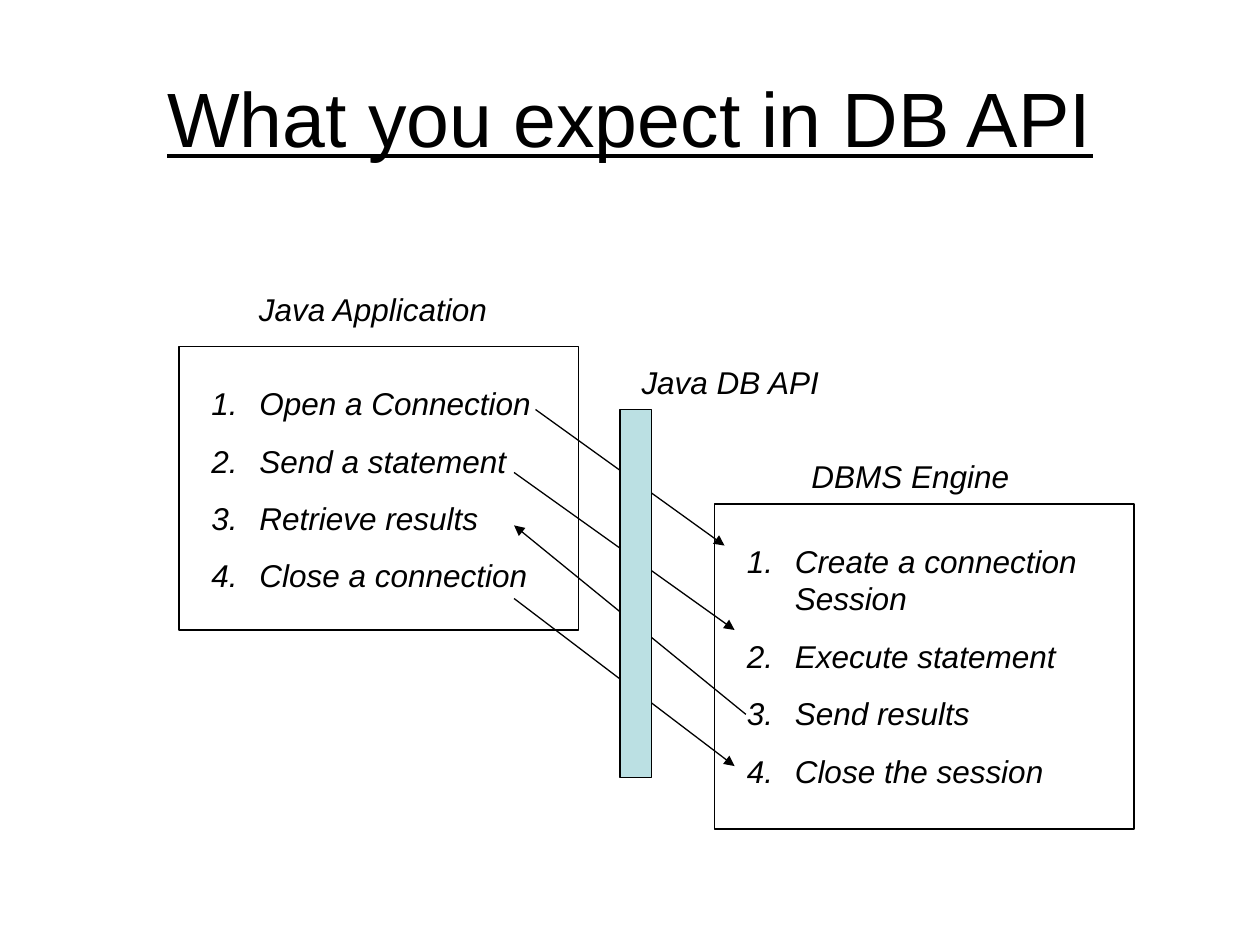
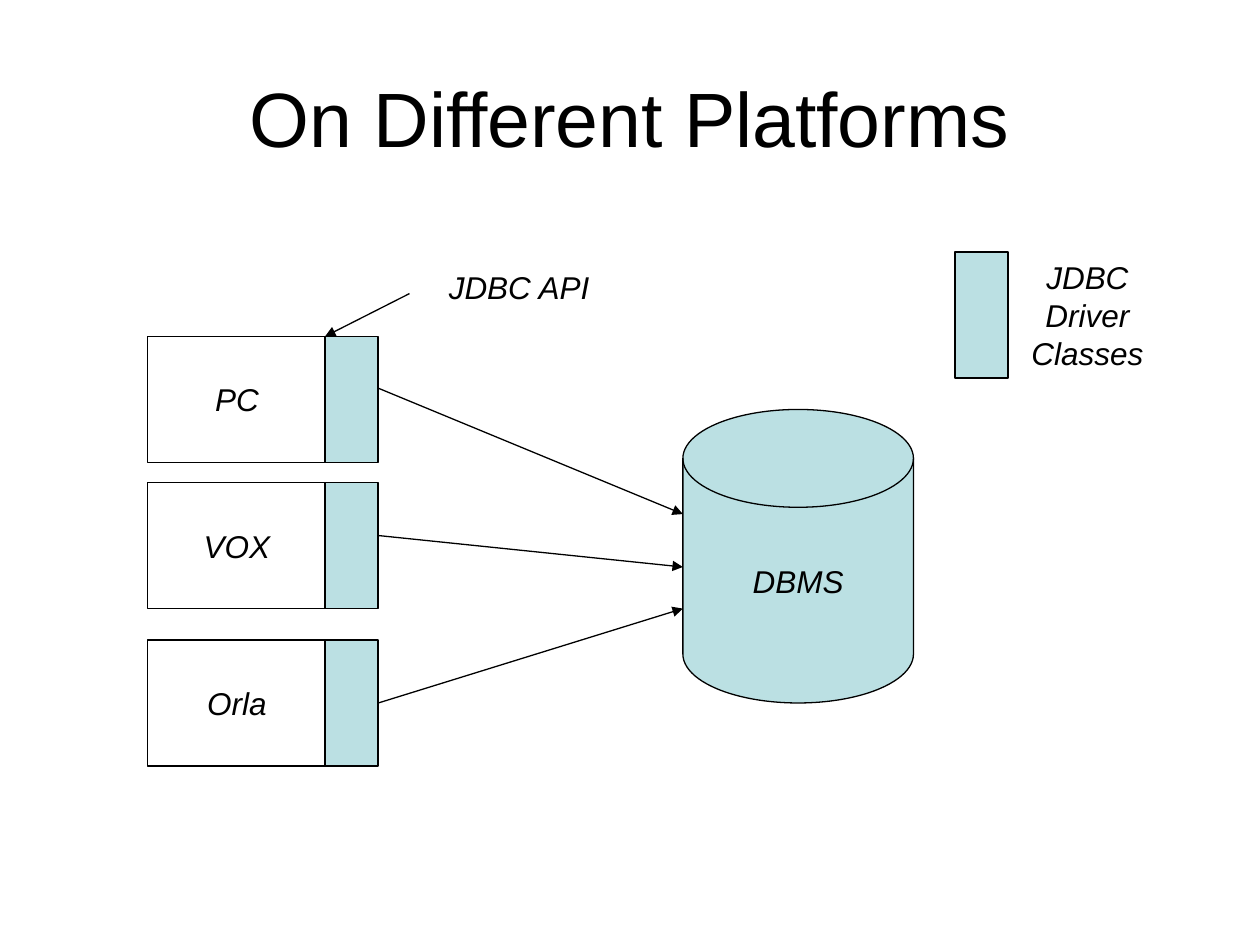
from dataclasses import dataclass
from lxml.etree import SubElement
from pptx import Presentation
from pptx.dml.color import RGBColor
from pptx.enum.shapes import MSO_CONNECTOR, MSO_SHAPE
from pptx.enum.text import MSO_ANCHOR, PP_ALIGN
from pptx.oxml.ns import qn
from pptx.util import Inches, Pt


@dataclass(frozen=True)
class Theme:
    font: str = "Arial"
    ink: RGBColor = RGBColor(0, 0, 0)
    paper: RGBColor = RGBColor(255, 255, 255)
    accent: RGBColor = RGBColor(0xBB, 0xE0, 0xE3)
    title: int = 44
    body: int = 18
    space: float = 11.2
    line: float = 0.75
    indent: float = 0.38


T = Theme()


def add_box(s, text, *at, shape=None, fill=None, size=T.body, italic=True,
            underline=False, middle=False, wrap=True, space=0, numbered=False):
    at = [Inches(v) for v in at]
    if shape is None:
        sp = s.shapes.add_textbox(*at)
    else:
        sp = s.shapes.add_shape(shape, *at)
        sp.shadow.inherit = False
        sp.line.color.rgb = T.ink
        sp.line.width = Pt(T.line)
        if fill is None:
            sp.fill.background()
        else:
            sp.fill.solid()
            sp.fill.fore_color.rgb = fill
    if not text:
        return
    tf = sp.text_frame
    tf.word_wrap = wrap
    tf.vertical_anchor = MSO_ANCHOR.MIDDLE if middle else MSO_ANCHOR.TOP
    for i, row in enumerate(text.split("\n")):
        p = tf.add_paragraph() if i else tf.paragraphs[0]
        p.alignment = PP_ALIGN.LEFT if numbered else PP_ALIGN.CENTER
        p.space_before = Pt(space)
        if numbered:
            pPr = p._p.get_or_add_pPr()
            pPr.set("marL", str(Inches(T.indent)))
            pPr.set("indent", str(-Inches(T.indent)))
            SubElement(pPr, qn("a:buFont"), typeface=T.font)
            SubElement(pPr, qn("a:buAutoNum"), type="arabicPeriod")
        r = p.add_run()
        r.text = row
        r.font.name = T.font
        r.font.size = Pt(size)
        r.font.italic = italic
        r.font.underline = underline
        r.font.color.rgb = T.ink


def add_arrow(s, *ends):
    c = s.shapes.add_connector(MSO_CONNECTOR.STRAIGHT, *[Inches(v) for v in ends])
    c.line.color.rgb = T.ink
    c.line.width = Pt(T.line)
    SubElement(c.line._get_or_add_ln(), qn("a:tailEnd"), type="triangle")
    SubElement(c._element.spPr, qn("a:effectLst"))


prs = Presentation()
prs.slide_width, prs.slide_height = Inches(10), Inches(7.5)
slides = []
for title, underline in [("What you expect in DB API", True),
                         ("On Different Platforms", False)]:
    s = prs.slides.add_slide(prs.slide_layouts[6])
    s.background.fill.solid()
    s.background.fill.fore_color.rgb = T.paper
    add_box(s, title, 0.5, 0.3, 9, 1.25, size=T.title, italic=False,
            underline=underline, middle=True)
    slides.append(s)
api, platforms = slides

app_steps = "Open a Connection\nSend a statement\nRetrieve results\nClose a connection"
engine_steps = "Create a connection Session\nExecute statement\nSend results\nClose the session"
for frame, inner, steps in [
    ((1.42, 2.75, 3.17, 2.25), (1.58, 3, 2.75, 1.77), app_steps),
    ((5.67, 4, 3.33, 2.58), (5.83, 4.25, 2.83, 2.07), engine_steps),
]:
    add_box(api, "", *frame, shape=MSO_SHAPE.RECTANGLE, fill=T.paper)
    add_box(api, steps, *inner, space=T.space, numbered=True)

for ends in [(4.25, 3.25, 5.75, 4.33), (4.08, 3.75, 5.83, 5),
             (5.92, 5.67, 4.08, 4.17), (4.08, 4.75, 5.83, 6.08)]:
    add_arrow(api, *ends)

add_box(api, "", 4.92, 3.25, 0.25, 2.92, shape=MSO_SHAPE.RECTANGLE, fill=T.accent)
add_box(api, "Java Application", 1.75, 2.25, 2.42, 0.4, space=T.space)
add_box(api, "DBMS Engine", 6.34, 3.58, 1.77, 0.4, wrap=False)
add_box(api, "Java DB API", 4.92, 2.83, 1.75, 0.4, space=T.space)

add_box(platforms, "DBMS", 5.42, 3.25, 1.83, 2.33, fill=T.accent, middle=True,
        shape=MSO_SHAPE.FLOWCHART_MAGNETIC_DISK, wrap=False)
for name, top, start, end in [("PC", 2.67, 3.08, 4.08), ("VOX", 3.83, 4.25, 4.5),
                              ("Orla", 5.08, 5.58, 4.83)]:
    add_box(platforms, name, 1.17, top, 1.42, 1, shape=MSO_SHAPE.RECTANGLE,
            middle=True, wrap=False)
    add_box(platforms, "", 2.58, top, 0.42, 1, shape=MSO_SHAPE.RECTANGLE, fill=T.accent)
    add_arrow(platforms, 3, start, 5.42, end)

add_box(platforms, "", 7.58, 2, 0.42, 1, shape=MSO_SHAPE.RECTANGLE, fill=T.accent)
add_box(platforms, "JDBC Driver Classes", 7.92, 2, 1.42, 1, space=T.space)
add_arrow(platforms, 3.25, 2.33, 2.58, 2.67)
add_box(platforms, "JDBC API", 3.33, 2.08, 1.58, 0.4, space=T.space)

prs.save("out.pptx")
